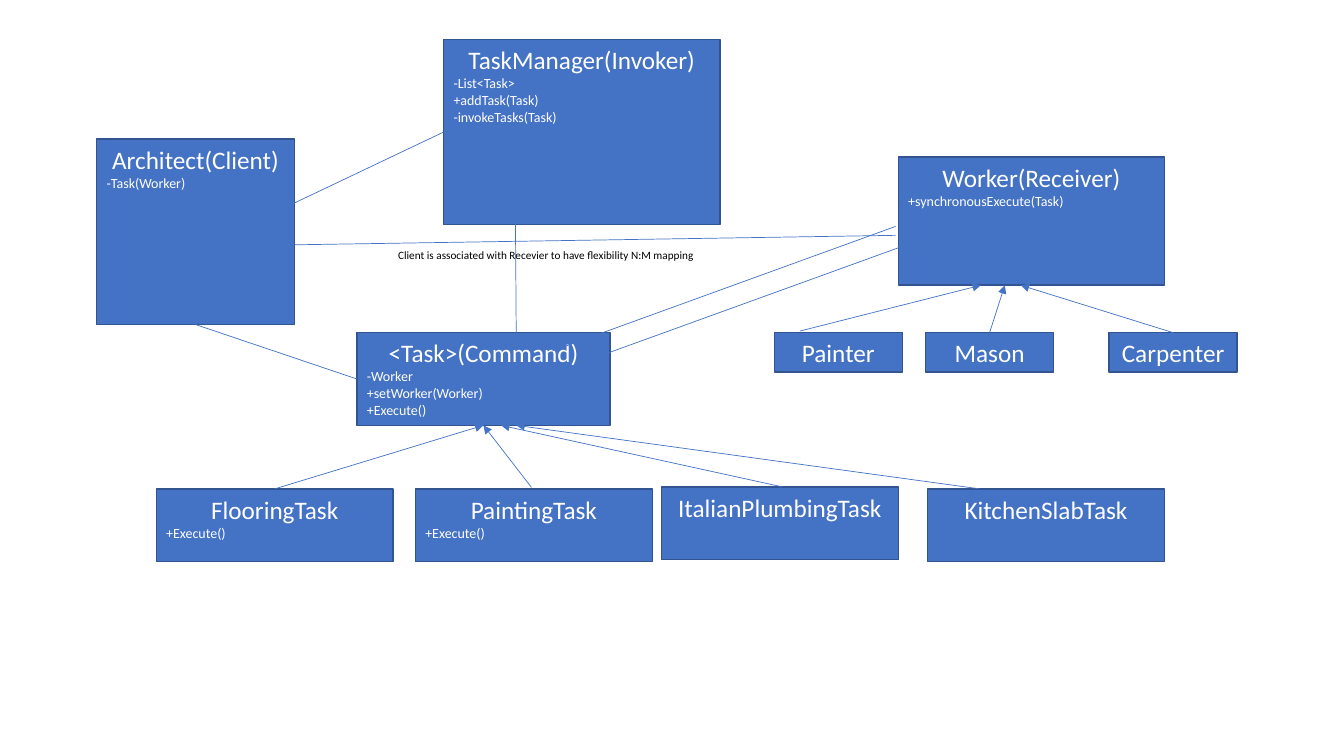
from lxml import etree
from pptx import Presentation
from pptx.dml.color import RGBColor
from pptx.enum.shapes import MSO_CONNECTOR, MSO_SHAPE
from pptx.enum.text import MSO_ANCHOR, PP_ALIGN
from pptx.oxml.ns import qn
from pptx.util import Inches, Pt

RECT = MSO_SHAPE.RECTANGLE
STRAIGHT = MSO_CONNECTOR.STRAIGHT
TOP = MSO_ANCHOR.TOP
LEFT, CENTER = PP_ALIGN.LEFT, PP_ALIGN.CENTER

COLORS = {"fill": "4472C4", "border": "325491", "light": "FFFFFF", "dark": "000000"}
TITLE = {"name": "Calibri", "size": Pt(18)}
MEMBER = {"name": "Calibri", "size": Pt(10)}
CAPTION = {"name": "Calibri", "size": Pt(8)}

SIZES = {
    "manager": (2.74, 1.84),
    "command": (2.51, 0.92),
    "receiver": (2.64, 1.27),
    "client": (1.96, 1.84),
    "task": (2.35, 0.72),
    "trade": (1.27, 0.39),
}
TASK_ROW, TRADE_ROW = 4.85, 3.3

BOXES = {
    "manager": ("manager", 4.4, 0.39, "TaskManager(Invoker)",
                ["-List<Task>", "+addTask(Task)", "-invokeTasks(Task)"]),
    "command": ("command", 3.54, TRADE_ROW, "<Task>(Command)",
                ["-Worker", "+setWorker(Worker)", "+Execute()"]),
    "flooring": ("task", 1.55, TASK_ROW, "FlooringTask", ["+Execute()"]),
    "plumbing": ("task", 6.56, TASK_ROW - 0.02, "ItalianPlumbingTask", []),
    "painting": ("task", 4.12, TASK_ROW, "PaintingTask", ["+Execute()"]),
    "kitchen": ("task", 9.2, TASK_ROW, "KitchenSlabTask", []),
    "receiver": ("receiver", 8.91, 1.56, "Worker(Receiver)", ["+synchronousExecute(Task)"]),
    "client": ("client", 0.96, 1.38, "Architect(Client)", ["-Task(Worker)"]),
    "painter": ("trade", 7.68, TRADE_ROW, "Painter", []),
    "mason": ("trade", 9.18, TRADE_ROW, "Mason", []),
    "carpenter": ("trade", 11, TRADE_ROW, "Carpenter", []),
}

INHERITANCE = [
    (("flooring", 0.5, 0), ("command", 0.5, 1)),
    (("painting", 0.49, -0.02), ("command", 0.5, 1)),
    (("plumbing", 0.51, 0), ("command", 0.57, 1)),
    (("kitchen", 0.22, 0), ("command", 0.63, 1)),
    (("painter", 0.2, -0.04), ("receiver", 0.31, 1)),
    (("mason", 0.5, 0), ("receiver", 0.4, 1)),
    (("carpenter", 0.5, 0), ("receiver", 0.46, 1)),
]
ASSOCIATIONS = [
    (("command", 0.77, 0.2), ("receiver", -0.01, 0.54)),
    (("command", 0.83, 0.38), ("receiver", 0.05, 0.67)),
    (("client", 0.5, 1), ("command", 0, 0.5)),
    (("command", 0.63, 0.2), ("manager", 0.26, 0.98)),
    (("client", 0.95, 0.37), ("manager", 0, 0.5)),
    (("client", 1, 0.57), ("receiver", -0.01, 0.61)),
]
NOTE = "Client is associated with Recevier to have flexibility N:M mapping"
NOTE_AREA = (3.85, 2.41, 4.38, 0.24)


def rgb(name):
    return RGBColor.from_string(COLORS[name])


def write(p, text, font, color, align):
    p.alignment = align
    r = p.add_run()
    r.text = text
    for key, value in font.items():
        setattr(r.font, key, value)
    r.font.color.rgb = rgb(color)


def add_box(slide, kind, left, top, title, members):
    area = (left, top, *SIZES[kind])
    sp = slide.shapes.add_shape(RECT, *map(Inches, area))
    sp.shadow.inherit = False
    sp.fill.solid()
    sp.fill.fore_color.rgb = rgb("fill")
    sp.line.color.rgb = rgb("border")
    sp.line.width = Pt(1)
    tf = sp.text_frame
    tf.word_wrap = True
    tf.vertical_anchor = TOP
    write(tf.paragraphs[0], title, TITLE, "light", CENTER)
    for member in members:
        write(tf.add_paragraph(), member, MEMBER, "light", LEFT)


def locate(point):
    box, across, down = point
    kind, left, top = BOXES[box][:3]
    width, height = SIZES[kind]
    return Inches(left + across * width), Inches(top + down * height)


def add_link(slide, start, end, arrow):
    link = slide.shapes.add_connector(STRAIGHT, *locate(start), *locate(end))
    link.line.color.rgb = rgb("fill")
    link.line.width = Pt(0.5)
    if arrow:
        etree.SubElement(link.line._get_or_add_ln(), qn("a:tailEnd"), type="triangle")
    etree.SubElement(link._element.spPr, qn("a:effectLst"))


def main():
    prs = Presentation()
    prs.slide_width, prs.slide_height = Inches(13.33), Inches(7.5)
    slide = prs.slides.add_slide(prs.slide_layouts[6])
    for box in BOXES.values():
        add_box(slide, *box)
    for links, arrow in ((INHERITANCE, True), (ASSOCIATIONS, False)):
        for start, end in links:
            add_link(slide, start, end, arrow)
    tf = slide.shapes.add_textbox(*map(Inches, NOTE_AREA)).text_frame
    tf.word_wrap = True
    write(tf.paragraphs[0], NOTE, CAPTION, "dark", LEFT)
    prs.save("out.pptx")


if __name__ == "__main__":
    main()
